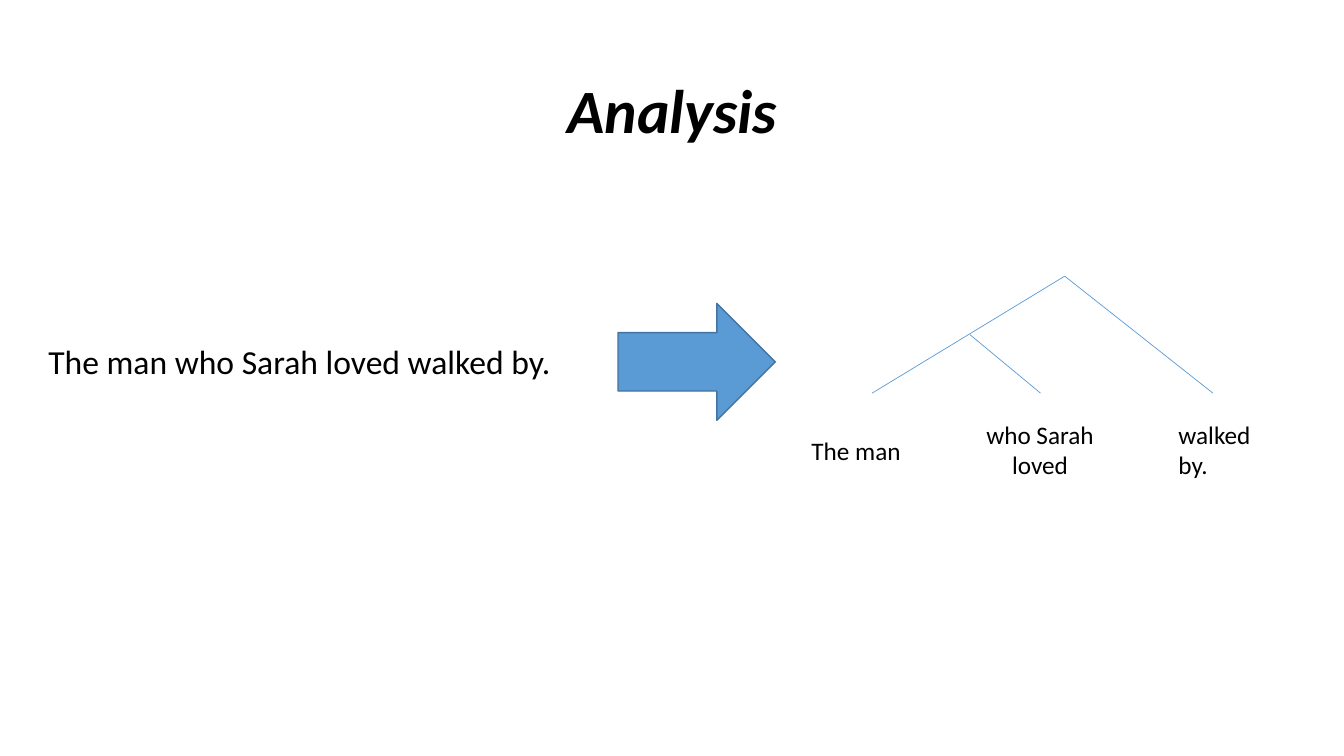
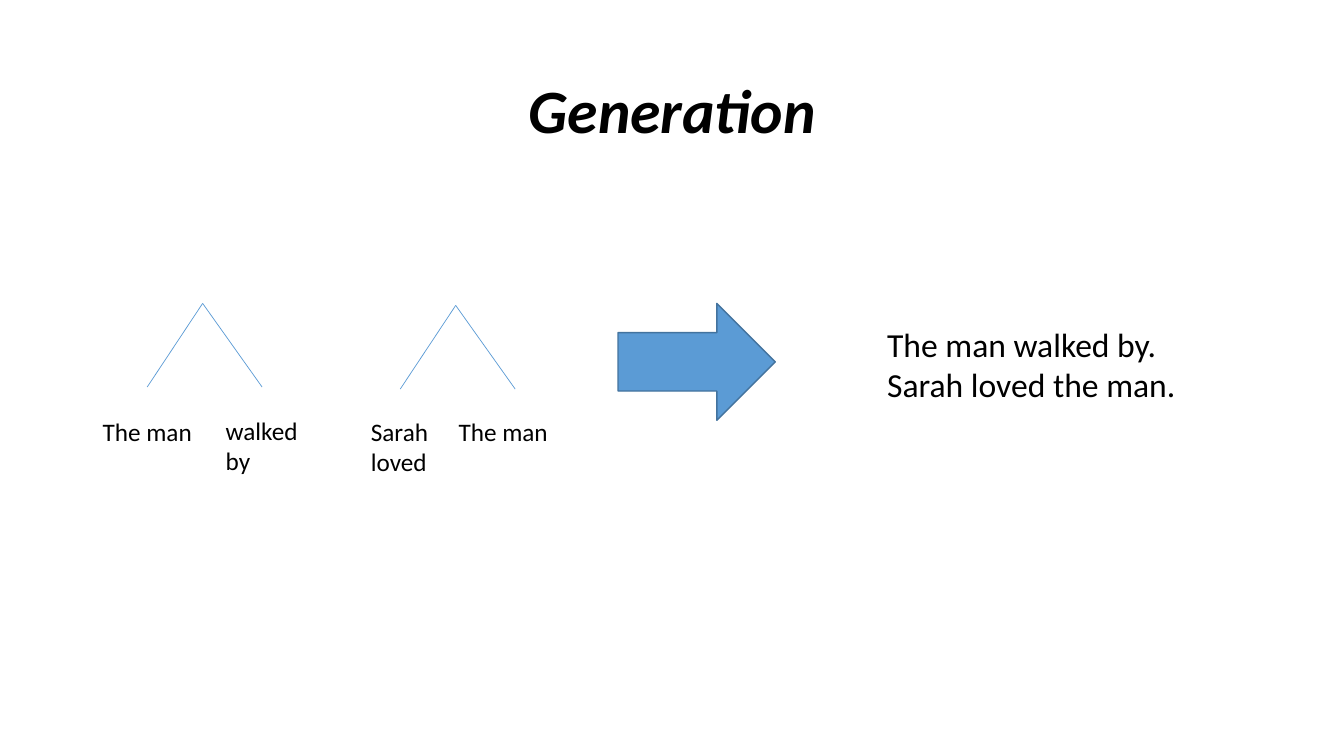
"""Build two slides on splitting a sentence into a tree and generating sentences from trees."""
from pptx import Presentation
from pptx.dml.color import RGBColor
from pptx.enum.shapes import MSO_CONNECTOR, MSO_SHAPE
from pptx.enum.text import MSO_ANCHOR, PP_ALIGN
from pptx.oxml.ns import qn
from pptx.util import Inches, Pt
from lxml import etree

LEFT, CENTER = PP_ALIGN.LEFT, PP_ALIGN.CENTER
TOP, MIDDLE = MSO_ANCHOR.TOP, MSO_ANCHOR.MIDDLE
STRAIGHT, RIGHT_ARROW = MSO_CONNECTOR.STRAIGHT, MSO_SHAPE.RIGHT_ARROW

BLACK = RGBColor(0x00, 0x00, 0x00)
BLUE = RGBColor(0x5B, 0x9B, 0xD5)
DARK_BLUE = RGBColor(0x43, 0x73, 0x9E)
FONT = "Calibri"
TITLE_SIZE, SENTENCE_SIZE, LEAF_SIZE = 44, 24, 18

TITLE_BOX = (0.92, 0.4, 11.5, 1.45)
ARROW_BOX = (6.13, 3.01, 1.56, 1.16)


def small_tree(apex_x, apex_y):
    """Return the two branches of a two-leaf tree below its apex."""
    apex, base = (apex_x, apex_y), apex_y + 0.83
    return [(apex, (apex_x - 0.55, base)), (apex, (apex_x + 0.59, base))]


SLIDES = [
    {
        "title": "Analysis",
        "texts": [
            ("The man who Sarah loved walked by.", (0.22, 3.33, 5.5, 0.5), SENTENCE_SIZE, CENTER),
            ("The man", (7.95, 4.27, 1.1, 0.4), LEAF_SIZE, LEFT),
            ("who Sarah loved", (9.62, 4.11, 1.39, 0.71), LEAF_SIZE, CENTER),
            ("walked by.", (11.59, 4.11, 1.1, 0.71), LEAF_SIZE, LEFT),
        ],
        "branches": [
            ((10.56, 2.74), (8.65, 3.9)),
            ((10.56, 2.74), (12.03, 3.9)),
            ((9.62, 3.32), (10.32, 3.9)),
        ],
    },
    {
        "title": "Generation",
        "texts": [
            ("The man", (0.92, 4.08, 1.1, 0.4), LEAF_SIZE, LEFT),
            ("walked\nby", (2.14, 4.07, 0.92, 0.71), LEAF_SIZE, LEFT),
            ("Sarah\nloved", (3.58, 4.08, 0.78, 0.71), LEAF_SIZE, LEFT),
            ("The man", (4.45, 4.08, 1.1, 0.4), LEAF_SIZE, LEFT),
            ("The man walked by.\nSarah loved the man.", (8.7, 3.16, 3.09, 0.91), SENTENCE_SIZE, LEFT),
        ],
        "branches": small_tree(2.01, 3.01) + small_tree(4.52, 3.03),
    },
]


def add_text(page, text, place, size, align, anchor=TOP, strong=False):
    box = page.shapes.add_textbox(*map(Inches, place))
    frame = box.text_frame
    frame.word_wrap = "\n" not in text
    frame.vertical_anchor = anchor
    frame.text = text
    for para in frame.paragraphs:
        para.alignment = align
        if strong:
            para.line_spacing = 0.9
        for span in para.runs:
            font = span.font
            font.name, font.size = FONT, Pt(size)
            font.bold = font.italic = strong
            font.color.rgb = BLACK


def add_arrow(page):
    arrow = page.shapes.add_shape(RIGHT_ARROW, *map(Inches, ARROW_BOX))
    arrow.shadow.inherit = False
    arrow.fill.solid()
    arrow.fill.fore_color.rgb = BLUE
    arrow.line.color.rgb = DARK_BLUE
    arrow.line.width = Pt(1)


def add_branch(page, start, end):
    branch = page.shapes.add_connector(STRAIGHT, *map(Inches, start + end))
    branch.line.color.rgb = BLUE
    branch.line.width = Pt(0.5)
    etree.SubElement(branch._element.spPr, qn("a:effectLst"))


def main():
    deck = Presentation()
    deck.slide_width, deck.slide_height = Inches(13.33), Inches(7.5)
    for content in SLIDES:
        page = deck.slides.add_slide(deck.slide_layouts[6])
        add_text(page, content["title"], TITLE_BOX, TITLE_SIZE, CENTER, MIDDLE, strong=True)
        for text, place, size, align in content["texts"]:
            add_text(page, text, place, size, align)
        add_arrow(page)
        for start, end in content["branches"]:
            add_branch(page, start, end)
    deck.save("out.pptx")


if __name__ == "__main__":
    main()
